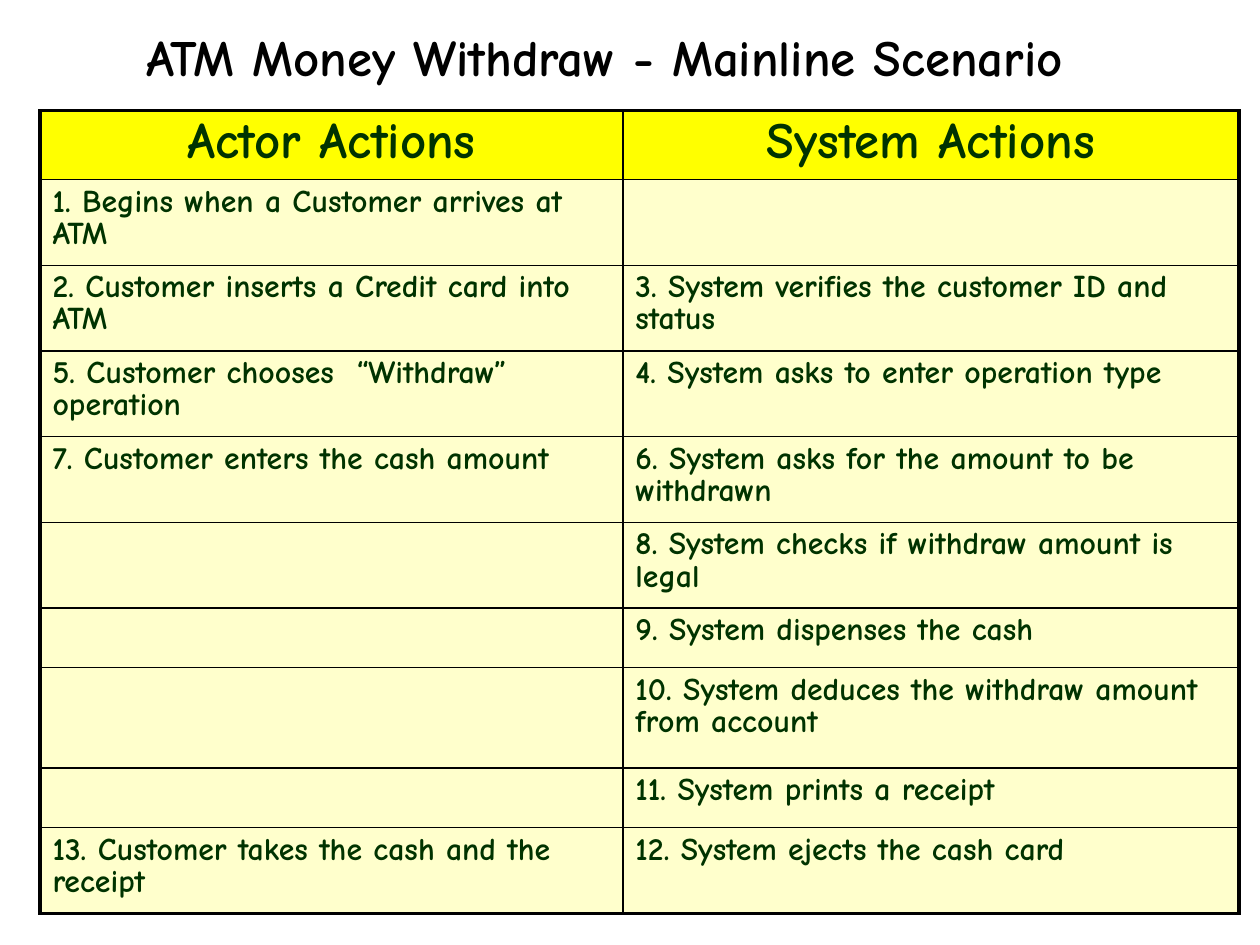
from typing import NamedTuple

from lxml import etree
from pptx import Presentation
from pptx.dml.color import RGBColor
from pptx.enum import text
from pptx.oxml import ns
from pptx.util import Cm, Inches, Pt

FONT = "Comic Neue"
BLACK = RGBColor(0x00, 0x00, 0x00)
DARK_GREEN = RGBColor(0x00, 0x33, 0x00)
YELLOW = RGBColor(0xFF, 0xFF, 0x00)
CREAM = RGBColor(0xFF, 0xFF, 0xCC)
THICK, THIN = Pt(2.25), Pt(1)
LINE_SPACING = 0.88
COLUMN_WIDTHS = (5.1, 5.39)


class Step(NamedTuple):
    actor: str
    system: str
    height: float = 0.75


STEPS = [
    Step("Actor Actions", "System Actions", 0.6),
    Step("1. Begins when a Customer arrives at ATM", ""),
    Step("2. Customer inserts a Credit card into ATM",
         "3. System verifies the customer ID and status"),
    Step("5. Customer chooses  “Withdraw” operation",
         "4. System asks to enter operation type"),
    Step("7. Customer enters the cash amount",
         "6. System asks for the amount to be withdrawn"),
    Step("", "8. System checks if withdraw amount is legal"),
    Step("", "9. System dispenses the cash", 0.52),
    Step("", "10. System deduces the withdraw amount from account", 0.88),
    Step("", "11. System prints a receipt", 0.52),
    Step("13. Customer takes the cash and the receipt",
         "12. System ejects the cash card"),
]


def style_paragraph(para, size: float, color: RGBColor, centred: bool) -> None:
    para.alignment = text.PP_ALIGN.CENTER if centred else text.PP_ALIGN.LEFT
    para.line_spacing = LINE_SPACING
    para.font.name = FONT
    para.font.size = Pt(size)
    para.font.bold = True
    para.font.color.rgb = color


def set_borders(cell, widths: dict[str, int]) -> None:
    """Add cell borders, keyed by side in schema order: L, R, T, B."""
    properties = cell._tc.get_or_add_tcPr()
    for position, (side, width) in enumerate(widths.items()):
        line = etree.Element(ns.qn(f"a:ln{side}"), w=str(width))
        fill = etree.SubElement(line, ns.qn("a:solidFill"))
        etree.SubElement(fill, ns.qn("a:srgbClr"), val=str(BLACK))
        properties.insert(position, line)


def fill_cell(cell, wording: str, row: int, column: int) -> None:
    header = row == 0
    cell.margin_left = cell.margin_right = Inches(0.11)
    cell.margin_top = cell.margin_bottom = Inches(0.06)
    cell.fill.solid()
    cell.fill.fore_color.rgb = YELLOW if header else CREAM
    # Thick outer frame, thin inner grid
    set_borders(cell, {
        "L": THICK if column == 0 else THIN,
        "R": THICK if column == 1 else THIN,
        "T": THICK if header else THIN,
        "B": THICK if row == len(STEPS) - 1 else THIN,
    })
    if wording:
        cell.text = wording
        para = cell.text_frame.paragraphs[0]
        style_paragraph(para, 32 if header else 20, DARK_GREEN, header)
        para.space_after = Pt(13.8)


def add_title(page) -> None:
    title = page.shapes.title
    title.left, title.top = Inches(0.26), Inches(-0.16)
    title.width, title.height = Inches(10.07), Inches(1.37)
    frame = title.text_frame
    frame.text = "ATM Money Withdraw - Mainline Scenario"
    frame.word_wrap = True
    frame.vertical_anchor = text.MSO_ANCHOR.MIDDLE
    frame.margin_left = frame.margin_right = 0
    frame.margin_top = frame.margin_bottom = 0
    style_paragraph(frame.paragraphs[0], 32, BLACK, True)


def add_scenario_table(page) -> None:
    table = page.shapes.add_table(
        len(STEPS), len(COLUMN_WIDTHS), Inches(0.35), Inches(0.97),
        Inches(sum(COLUMN_WIDTHS)), Inches(sum(step.height for step in STEPS)),
    ).table
    table.horz_banding = False
    for column, width in zip(table.columns, COLUMN_WIDTHS):
        column.width = Inches(width)
    for row, step in enumerate(STEPS):
        table.rows[row].height = Inches(step.height)
        for column, wording in enumerate((step.actor, step.system)):
            fill_cell(table.cell(row, column), wording, row, column)


def main() -> None:
    deck = Presentation()
    # The page is 28 by 21 cm, which is 11.02 by 8.27 inches
    deck.slide_width, deck.slide_height = Cm(28), Cm(21)
    page = deck.slides.add_slide(deck.slide_layouts.get_by_name("Title Only"))
    add_title(page)
    add_scenario_table(page)
    deck.save("out.pptx")


if __name__ == "__main__":
    main()
